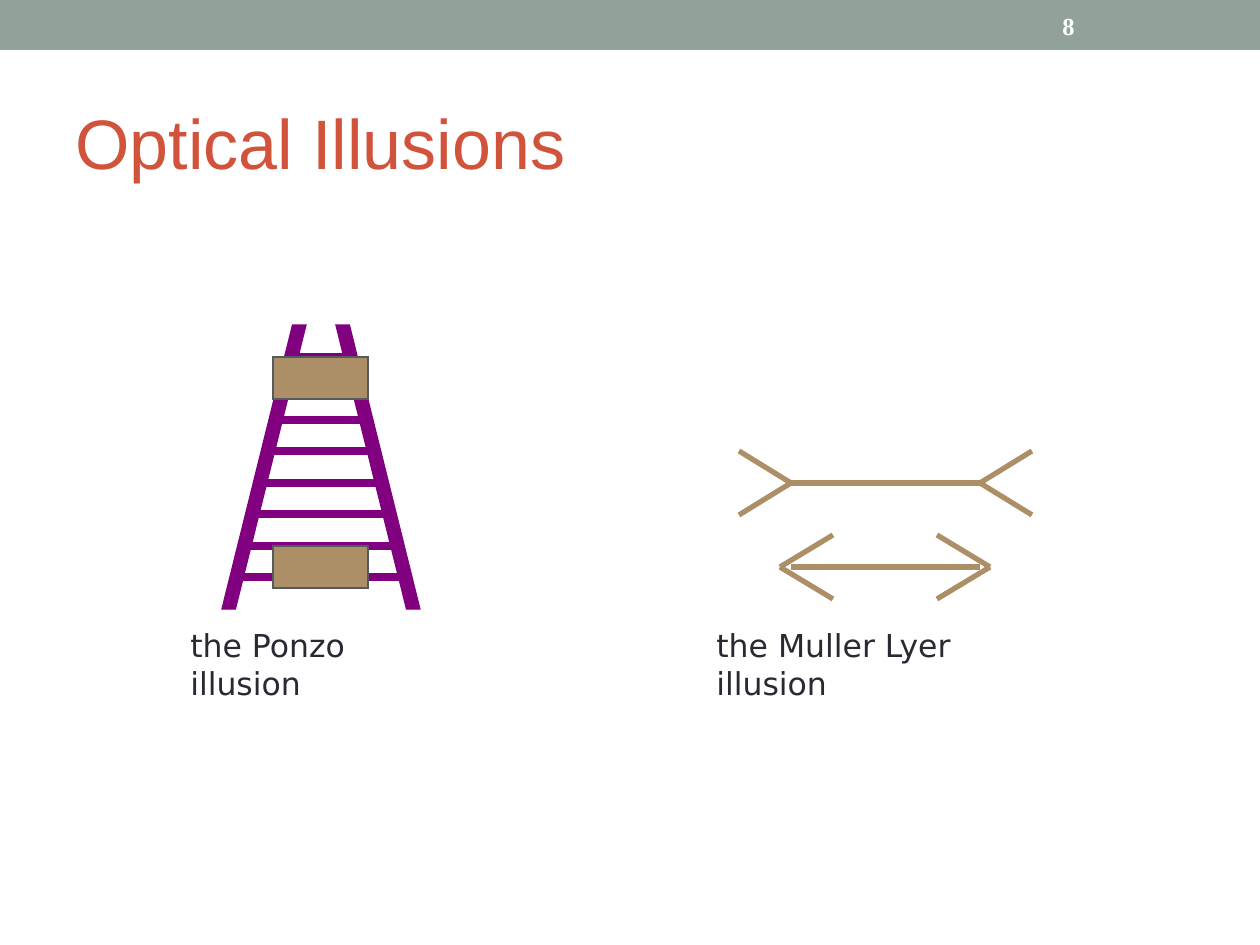
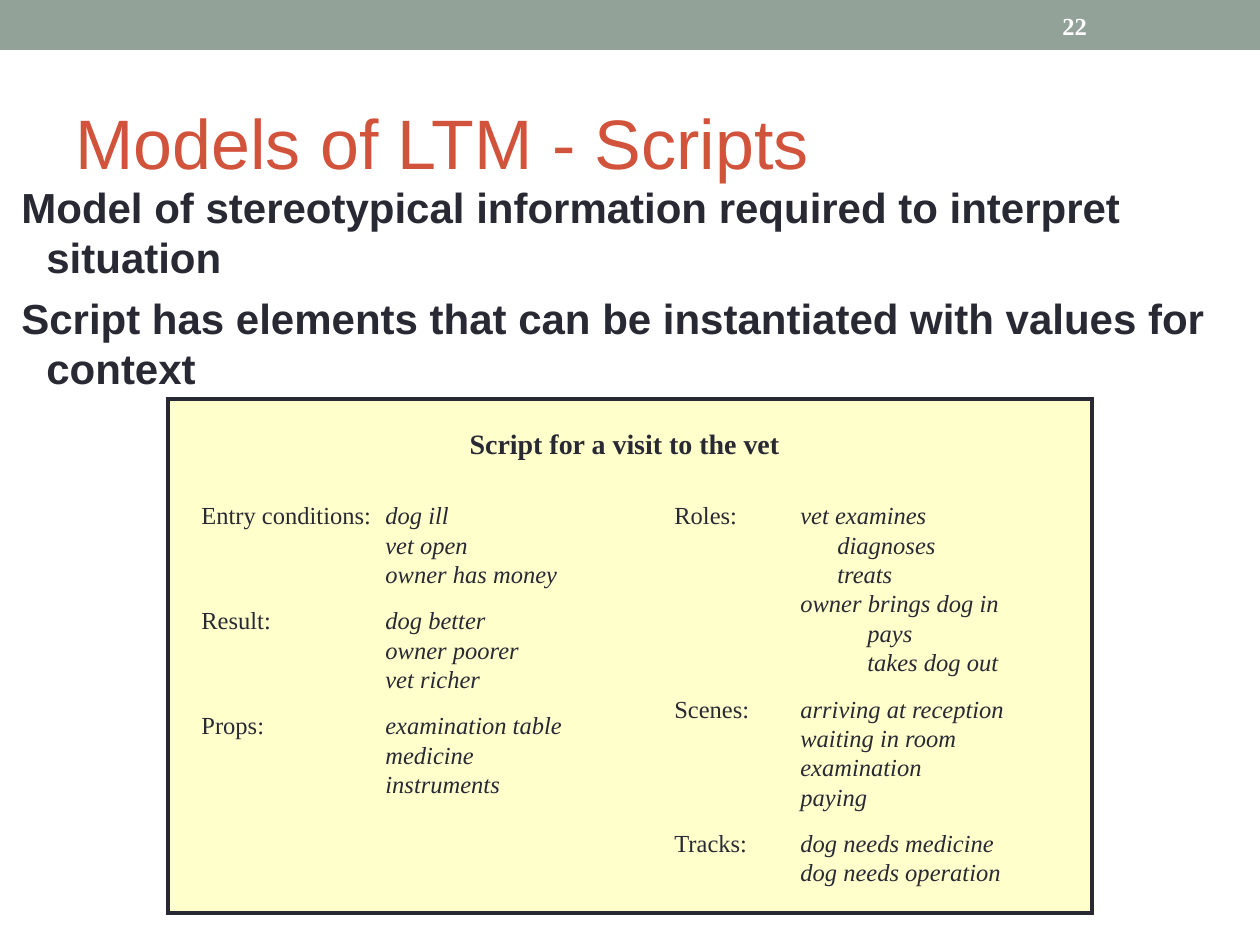
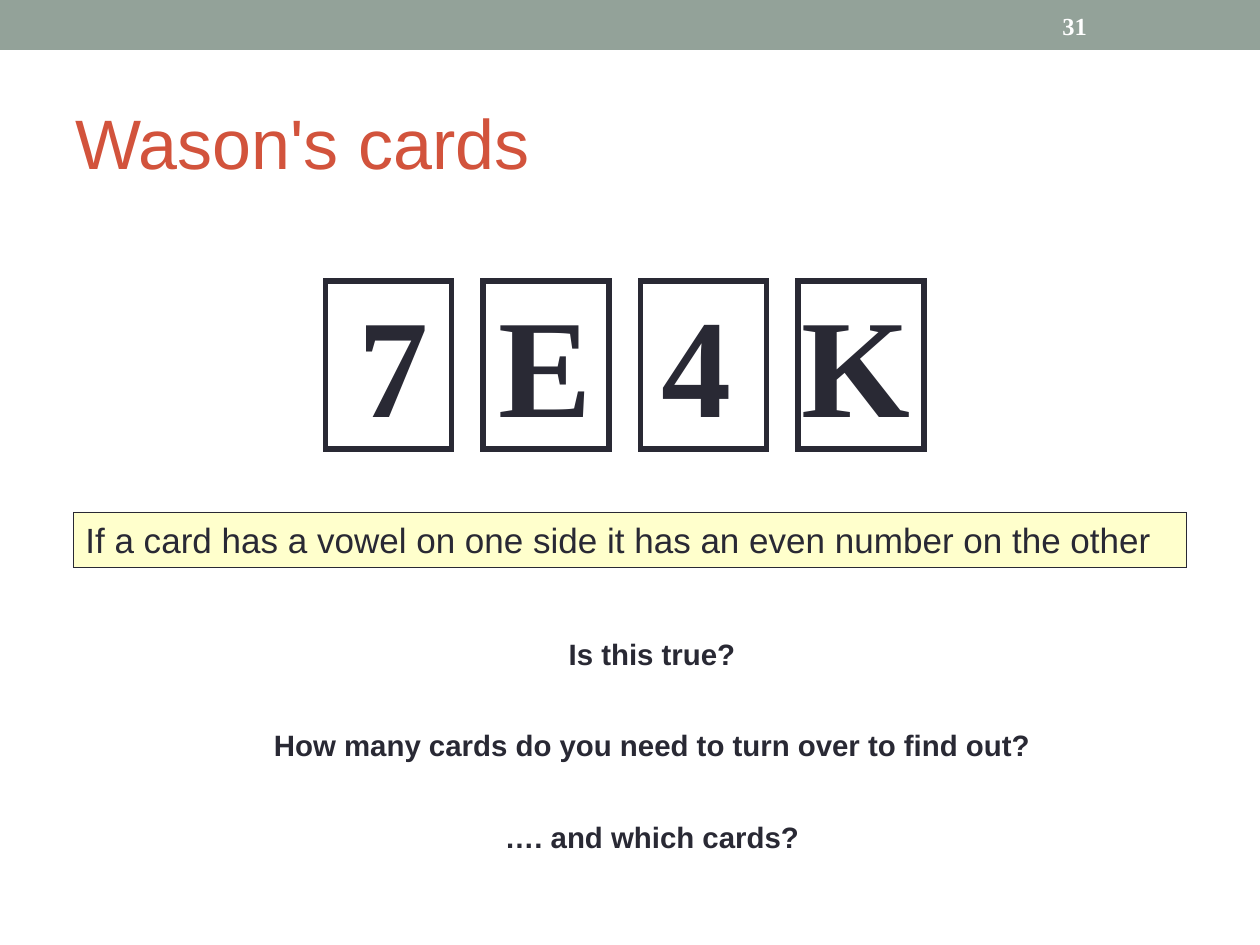
from dataclasses import dataclass

from lxml.etree import SubElement
from pptx import Presentation
from pptx.dml.color import RGBColor
from pptx.enum.shapes import MSO_CONNECTOR, MSO_SHAPE
from pptx.enum.text import MSO_ANCHOR, PP_ALIGN
from pptx.oxml.ns import qn
from pptx.util import Emu, Pt


@dataclass(frozen=True)
class Theme:
    band: str = "93A299"
    title: str = "D2533C"
    ink: str = "292934"
    white: str = "FFFFFF"
    note: str = "FFFFCC"
    rail: str = "800080"
    tan: str = "AD8F67"
    edge: str = "555A5E"
    sans: str = "Arial"
    serif: str = "Times New Roman"
    caption: str = "DejaVu Sans"
    title_size: float = 40
    body_size: float = 24
    rule_size: float = 20
    caption_size: float = 18
    question_size: float = 16.8
    heading_size: float = 16
    small_size: float = 14
    card_size: float = 80


THEME = Theme()
PX_PER_INCH = 126
WIDTH, HEIGHT = 1260, 945

# Content: optical illusions
RAILS = [(222, False), (336, True)]
RUNGS = [(577, 232, 399), (546, 242, 399), (514, 253, 389), (483, 263, 379),
         (451, 273, 368), (420, 273, 368), (357, 295, 348)]
BLOCK_TOPS = [546, 357]
SHAFT = (791, 980)
# y, left apex, right apex, outward reach of the fins
ARROWS = [(483, 791, 980, 52), (567, 780, 990, -53)]
CAPTIONS = [("the Ponzo illusion", 178, 287), ("the Muller Lyer illusion", 704, 362)]

# Content: script for a visit to the vet
SCRIPT_POINTS = [
    "Model of stereotypical information required to interpret situation",
    "Script has elements that can be instantiated with values for context",
]
SCRIPT_HEADING = "Script for a visit to the vet"
# Each entry is a label and its values; a value may carry an extra indent
SCRIPT_COLUMNS = [
    {"box": (189, 494, 410, 311), "tab": 184, "entries": [
        ("Entry conditions:", ["dog ill", "vet open", "owner has money"]),
        ("Result:", ["dog better", "owner poorer", "vet richer"]),
        ("Props:", ["examination table", "medicine", "instruments"]),
    ]},
    {"box": (662, 494, 355, 399), "tab": 126, "entries": [
        ("Roles:", ["vet examines", ("diagnoses", 37), ("treats", 37),
                    "owner brings dog in", ("pays", 67), ("takes dog out", 67)]),
        ("Scenes:", ["arriving at reception", "waiting in room", "examination", "paying"]),
        ("Tracks:", ["dog needs medicine", "dog needs operation"]),
    ]},
]

# Content: Wason's cards
CARDS = ["7", "E", "4", "K"]
CARD_TABS = [140, 303, 443]
CARD_RULE = "If a card has a vowel on one side it has an even number on the other"
QUESTIONS = [
    "Is this true?",
    "How many cards do you need to turn over to find out?",
    "…. and which cards?",
]


def px(length):
    return Emu(round(length * 914400 / PX_PER_INCH))


def color(value):
    return RGBColor.from_string(value)


# Drawing helpers
def add_box(page, kind, at, fill=None, line=None, width=0.75):
    shape = page.shapes.add_shape(kind, *map(px, at))
    shape.shadow.inherit = False
    if fill:
        shape.fill.solid()
        shape.fill.fore_color.rgb = color(fill)
    else:
        shape.fill.background()
    if line:
        shape.line.color.rgb = color(line)
        shape.line.width = Pt(width)
        # Square corners
        SubElement(shape.element.spPr.find(qn("a:ln")), qn("a:miter"), lim="800000")
    else:
        shape.line.fill.background()
    return shape


def add_line(page, start, end, line, width):
    connector = page.shapes.add_connector(MSO_CONNECTOR.STRAIGHT, *map(px, start + end))
    connector.line.color.rgb = color(line)
    connector.line.width = Pt(width)
    SubElement(connector.element.spPr, qn("a:effectLst"))


def add_text_box(page, at):
    return page.shapes.add_textbox(*map(px, at))


def prepare(box, anchor=MSO_ANCHOR.TOP):
    frame = box.text_frame
    frame.word_wrap = True
    frame.vertical_anchor = anchor
    return frame


def add_para(frame, first, align=PP_ALIGN.LEFT, before=0, margin=0, hanging=0, tabs=()):
    para = frame.paragraphs[0] if first else frame.add_paragraph()
    props = para._p.get_or_add_pPr()
    if margin:
        props.set("marL", str(px(margin)))
        props.set("indent", str(-px(hanging)))
    if tabs:
        stops = SubElement(props, qn("a:tabLst"))
        for stop in tabs:
            SubElement(stops, qn("a:tab"), pos=str(px(stop)), algn="l")
    para.alignment = align
    if before and not first:
        para.space_before = Pt(before)
    return para


def add_span(para, text, size, face, ink=THEME.ink, bold=False, italic=False):
    span = para.add_run()
    span.text = text
    span.font.size = Pt(size)
    span.font.name = face
    span.font.color.rgb = color(ink)
    span.font.bold = bold
    span.font.italic = italic


def write(box, lines, size, face, ink=THEME.ink, bold=False,
          anchor=MSO_ANCHOR.TOP, **layout):
    frame = prepare(box, anchor)
    for index, text in enumerate(lines):
        para = add_para(frame, index == 0, **layout)
        add_span(para, text, size, face, ink, bold)


def add_page(deck, title, number):
    page = deck.slides.add_slide(deck.slide_layouts[6])
    add_box(page, MSO_SHAPE.RECTANGLE, (0, 0, WIDTH, 50), THEME.band)
    write(add_text_box(page, (63, 73, 1134, 136)), [title], THEME.title_size,
          THEME.sans, THEME.title, anchor=MSO_ANCHOR.MIDDLE)
    write(add_text_box(page, (1050, 3, 147, 45)), [number], THEME.small_size,
          THEME.serif, THEME.white, bold=True, anchor=MSO_ANCHOR.MIDDLE)
    return page


# Slides
def build_illusions(deck):
    page = add_page(deck, "Optical Illusions", "8")
    # Ladder with two equal blocks
    for left, flipped in RAILS:
        rail = add_box(page, MSO_SHAPE.PARALLELOGRAM, (left, 325, 84, 284),
                       THEME.rail, THEME.rail)
        rail.adjustments[0] = 0.84
        if flipped:
            rail.element.spPr.xfrm.set("flipH", "1")
    for y, left, right in RUNGS:
        add_line(page, (left, y), (right, y), THEME.rail, 4.5)
    for top in BLOCK_TOPS:
        add_box(page, MSO_SHAPE.RECTANGLE, (273, top, 95, 42), THEME.tan, THEME.edge)
    # Two shafts with fins
    for y, left, right, reach in ARROWS:
        for apex, tip in ((right, right + reach), (left, left - reach)):
            for rise in (-32, 32):
                add_line(page, (apex, y), (tip, y + rise), THEME.tan, 3)
        add_line(page, (SHAFT[0], y), (SHAFT[1], y), THEME.tan, 3)
    for text, left, width in CAPTIONS:
        write(add_text_box(page, (left, 620, width, 50)), [text],
              THEME.caption_size, THEME.caption)


def add_script_column(page, column):
    box = add_box(page, MSO_SHAPE.RECTANGLE, column["box"], THEME.note)
    frame = prepare(box)
    tab = column["tab"]
    for entry, (label, values) in enumerate(column["entries"]):
        for row, value in enumerate(values):
            text, extra = value if isinstance(value, tuple) else (value, 0)
            if row == 0:
                para = add_para(frame, entry == 0, before=9.6, tabs=[tab])
                add_span(para, label + "\t", THEME.small_size, THEME.serif)
            else:
                para = add_para(frame, False, margin=tab + extra)
            add_span(para, text, THEME.small_size, THEME.serif, italic=True)


def build_scripts(deck):
    page = add_page(deck, "Models of LTM - Scripts", "22")
    write(add_text_box(page, (9, 175, 1251, 224)), SCRIPT_POINTS, THEME.body_size,
          THEME.sans, bold=True, before=6, margin=25, hanging=25)
    add_box(page, MSO_SHAPE.RECTANGLE, (168, 399, 924, 514), THEME.note, THEME.ink, 2.25)
    heading = add_box(page, MSO_SHAPE.RECTANGLE, (451, 420, 347, 47), THEME.note)
    write(heading, [SCRIPT_HEADING], THEME.heading_size, THEME.serif, bold=True,
          align=PP_ALIGN.CENTER)
    for column in SCRIPT_COLUMNS:
        add_script_column(page, column)


def build_cards(deck):
    page = add_page(deck, "Wason's cards", "31")
    write(add_text_box(page, (44, 630, 1216, 242)), QUESTIONS, THEME.question_size,
          THEME.sans, bold=True, align=PP_ALIGN.CENTER, before=32)
    rule = add_box(page, MSO_SHAPE.RECTANGLE, (73, 512, 1113, 55),
                   THEME.note, THEME.ink, 0.25)
    write(rule, [CARD_RULE], THEME.rule_size, THEME.sans)
    # Card outlines at an equal step, with one line of letters over them
    for index in range(len(CARDS)):
        left = 325.5 + 157.5 * index
        add_box(page, MSO_SHAPE.RECTANGLE, (left, 281, 126, 168), None, THEME.ink, 3)
    letters = add_text_box(page, (346, 271, 577, 181))
    letters.text_frame.margin_right = 0
    write(letters, ["\t".join(CARDS)], THEME.card_size, THEME.serif, bold=True,
          tabs=CARD_TABS)


def main():
    deck = Presentation()
    deck.slide_width, deck.slide_height = px(WIDTH), px(HEIGHT)
    build_illusions(deck)
    build_scripts(deck)
    build_cards(deck)
    deck.save("out.pptx")


if __name__ == "__main__":
    main()
